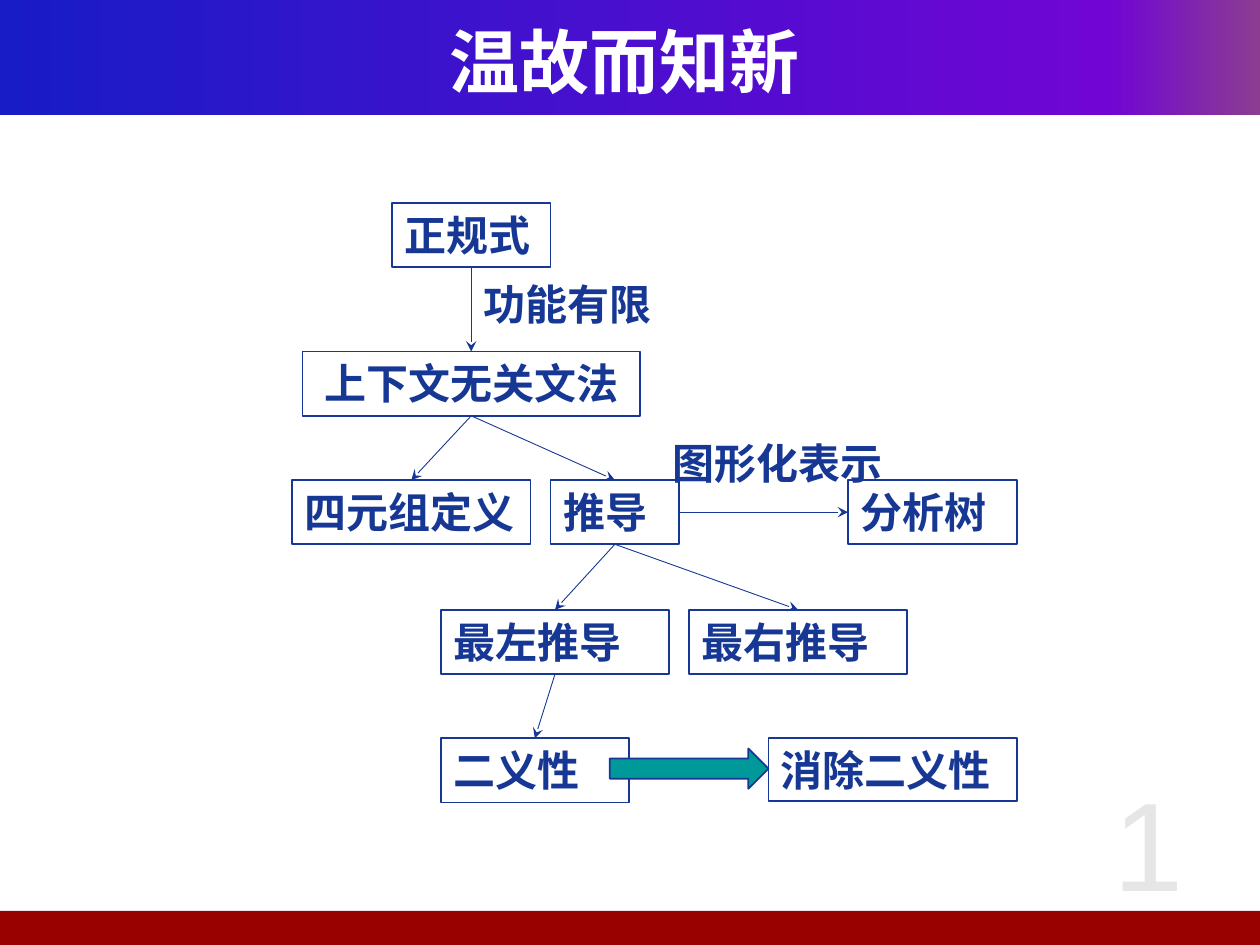
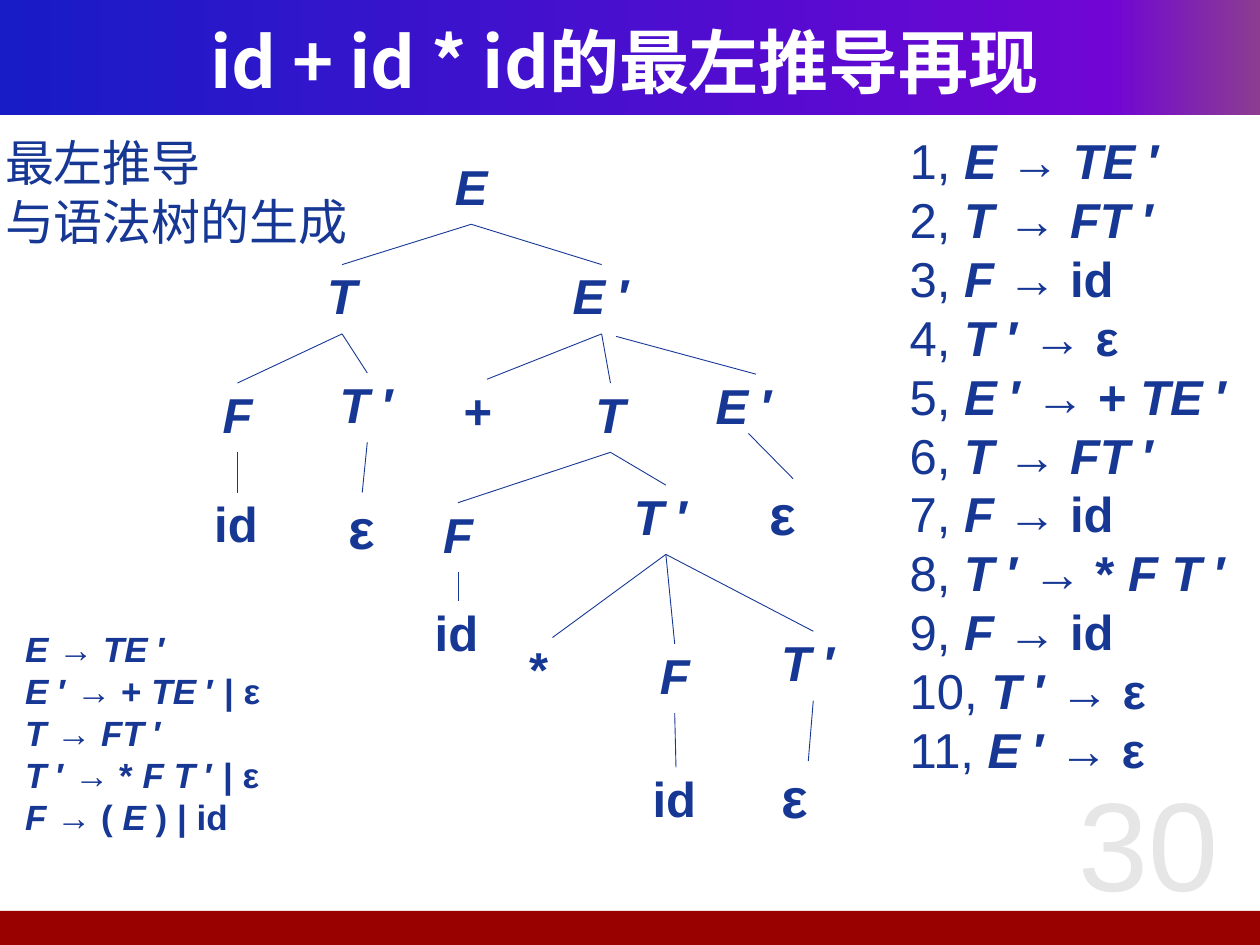
from dataclasses import dataclass
from itertools import groupby

from lxml import etree
from pptx import Presentation, util as u
from pptx.dml.color import RGBColor
from pptx.enum import shapes, text
from pptx.oxml import parse_xml
from pptx.oxml.ns import nsdecls, qn

PX = u.Inches(1) // 100  # 100 px to the inch


@dataclass(frozen=True)
class Theme:
    ink: str = "163794"
    white: str = "FFFFFF"
    footer: str = "990000"
    number: str = "E6E6E6"
    arrow: str = "009999"
    band: tuple = ((0, "181CC7"), (88, "7005D4"), (100, "8C3D91"))
    latin: str = "Arial"
    box: str = "Karla"
    chinese: str = "Noto Sans CJK SC"
    title_size: int = 40
    number_size: int = 72
    epsilon_size: int = 32
    body_size: int = 28
    box_size: int = 24
    grammar_size: int = 20


THEME = Theme()
LEFT, CENTER = text.PP_ALIGN.LEFT, text.PP_ALIGN.CENTER
BOX_INSETS, NODE_INSETS, LIST_INSETS = (10, 5), (2, 1), (0, 5)

# Content: concept map (left, top, width, height)
CONCEPTS = {
    "正规式": (311, 161, 126, 51),
    "上下文无关文法": (240, 279, 268, 51),
    "四元组定义": (232, 381, 189, 51),
    "推导": (437, 381, 102, 51),
    "分析树": (673, 381, 134, 51),
    "最左推导": (350, 484, 181, 51),
    "最右推导": (547, 484, 173, 51),
    "二义性": (350, 586, 149, 51),
    "消除二义性": (610, 586, 197, 50),
}
CENTERED_CONCEPT = "上下文无关文法"
CONCEPT_LABELS = {
    "功能有限": (374, 216, 173, 50),
    "图形化表示": (524, 342, 197, 50),
}
CONCEPT_LINKS = [
    ("正规式", "上下文无关文法"),
    ("上下文无关文法", "四元组定义"),
    ("上下文无关文法", "推导"),
    ("推导", "最左推导"),
    ("推导", "最右推导"),
    ("最左推导", "二义性"),
]
SIDE_LINK = ("推导", "分析树")
BLOCK_ARROW = (484, 594, 126, 32)

# Content: syntax tree (symbol, box, alignment, parent index)
TREE = [
    ("E", (350, 123, 48, 55), CENTER, None),
    ("T", (248, 210, 47, 55), CENTER, 0),
    ("E ′", (445, 210, 65, 55), CENTER, 0),
    ("F", (161, 304, 55, 55), CENTER, 1),
    ("T ′", (264, 296, 55, 55), CENTER, 1),
    ("id", (168, 391, 41, 50), LEFT, 3),
    ("ε", (264, 391, 47, 55), CENTER, 4),
    ("+", (366, 301, 41, 50), LEFT, 2),
    ("T", (461, 304, 47, 55), CENTER, 2),
    ("E ′", (566, 297, 68, 55), LEFT, 2),
    ("F", (344, 399, 39, 55), CENTER, 8),
    ("T ′", (501, 385, 55, 55), LEFT, 8),
    ("ε", (609, 380, 41, 50), LEFT, 9),
    ("id", (343, 477, 41, 50), LEFT, 10),
    ("*", (418, 506, 41, 50), LEFT, 11),
    ("F", (512, 511, 47, 55), CENTER, 11),
    ("T ′", (618, 501, 55, 55), LEFT, 11),
    ("id", (516, 609, 41, 50), LEFT, 15),
    ("ε", (618, 604, 47, 47), LEFT, 16),
]
BRANCH_STARTS = {9: (489, 267), 12: (594, 344)}  # branches not leaving the centre
STEPS = ["E → TE ′", "T → FT ′", "F → id", "T ′ → ε", "E ′ → + TE ′", "T → FT ′",
         "F → id", "T ′ → * F T ′", "F → id", "T ′ → ε", "E ′ → ε"]
GRAMMAR = ["E → TE ′", "E ′ → + TE ′ | ε", "T → FT ′", "T ′ → * F T ′ | ε", "F → ( E ) | id"]
CAPTION = ["最左推导", "与语法树的生成"]


def px(*lengths):
    return [round(length * PX) for length in lengths]


def color(code):
    return RGBColor.from_string(code)


# Text
def add_run(paragraph, words, size, font=THEME.latin, ink=THEME.ink, bold=False, italic=False):
    run = paragraph.add_run()
    run.text = words
    run.font.size, run.font.name = u.Pt(size), font
    run.font.bold, run.font.italic = bold, italic
    run.font.color.rgb = color(ink)
    if font != THEME.latin:
        etree.SubElement(run.font._element, qn("a:ea"), typeface=THEME.chinese)


def add_symbols(paragraph, words, size):
    """Set grammar symbols in bold, with the nonterminals in italics."""
    for italic, letters in groupby(words, key=lambda letter: letter in "ETF"):
        add_run(paragraph, "".join(letters), size, bold=True, italic=italic)


def prepare_frame(shape, insets=BOX_INSETS, align=LEFT, anchor=text.MSO_ANCHOR.TOP):
    frame = shape.text_frame
    frame.word_wrap = True
    frame.vertical_anchor = anchor
    frame.margin_left, frame.margin_top = px(*insets)
    frame.margin_right, frame.margin_bottom = px(*insets)
    frame.paragraphs[0].alignment = align
    return frame


def add_text_box(slide, place, **options):
    return prepare_frame(slide.shapes.add_textbox(*px(*place)), **options)


def add_lines(frame, lines):
    """Yield one paragraph for each line."""
    for index, line in enumerate(lines):
        yield (frame.add_paragraph() if index else frame.paragraphs[0]), line


# Shapes and lines
def add_block(slide, place, fill=None, outline=None, kind=shapes.MSO_SHAPE.RECTANGLE):
    shape = slide.shapes.add_shape(kind, *px(*place))
    shape.shadow.inherit = False
    if fill:
        shape.fill.solid()
        shape.fill.fore_color.rgb = color(fill)
    else:
        shape.fill.background()
    if outline:
        shape.line.color.rgb = color(outline)
        shape.line.width = u.Pt(1)
    else:
        shape.line.fill.background()
    return shape


def add_line(slide, start, end, arrow=False):
    line = slide.shapes.add_connector(shapes.MSO_CONNECTOR.STRAIGHT, *px(*start, *end))
    line.line.color.rgb = color(THEME.ink)
    line.line.width = u.Pt(0.5)
    if arrow:
        etree.SubElement(line.line._get_or_add_ln(), qn("a:tailEnd"), type="stealth")
    etree.SubElement(line._element.spPr, qn("a:effectLst"))


def top(place):
    return place[0] + place[2] / 2, place[1]


def bottom(place):
    return place[0] + place[2] / 2, place[1] + place[3]


# Shared slide frame
def add_slide(presentation, title, number):
    slide = presentation.slides.add_slide(presentation.slide_layouts[6])
    band = add_block(slide, (0, 0, 1000, 91))
    band.fill.gradient()
    band.fill.gradient_angle = 0
    stops = band._element.spPr.find(".//" + qn("a:gsLst"))
    stops.getparent().replace(stops, parse_xml(
        f"<a:gsLst {nsdecls('a')}>"
        + "".join(f'<a:gs pos="{share * 1000}"><a:srgbClr val="{code}"/></a:gs>'
                  for share, code in THEME.band)
        + "</a:gsLst>"))
    add_block(slide, (-4, 723, 1004, 27), THEME.footer)
    frame = add_text_box(slide, (33, 17, 925, 62), align=CENTER, anchor=text.MSO_ANCHOR.MIDDLE)
    add_run(frame.paragraphs[0], title, THEME.title_size, THEME.chinese, THEME.white, bold=True)
    frame = add_text_box(slide, (823, 603, 177, 142), align=CENTER)
    add_run(frame.paragraphs[0], number, THEME.number_size, ink=THEME.number)
    return slide


def build_concept_map(presentation):
    slide = add_slide(presentation, "温故而知新", "1")
    for name, place in CONCEPTS.items():
        box = add_block(slide, place, outline=THEME.ink)
        frame = prepare_frame(box, align=CENTER if name == CENTERED_CONCEPT else LEFT)
        add_run(frame.paragraphs[0], name, THEME.box_size, THEME.box, bold=True)
    for name, place in CONCEPT_LABELS.items():
        frame = add_text_box(slide, place)
        add_run(frame.paragraphs[0], name, THEME.box_size, THEME.box, bold=True)
    add_block(slide, BLOCK_ARROW, THEME.arrow, THEME.ink, shapes.MSO_SHAPE.RIGHT_ARROW)

    for parent, child in CONCEPT_LINKS:
        add_line(slide, bottom(CONCEPTS[parent]), top(CONCEPTS[child]), arrow=True)
    source, target = (CONCEPTS[name] for name in SIDE_LINK)
    middle = source[1] + source[3] / 2
    add_line(slide, (source[0] + source[2], middle), (target[0], middle), arrow=True)


def build_derivation(presentation):
    slide = add_slide(presentation, "id + id * id的最左推导再现", "30")

    # Caption
    frame = add_text_box(slide, (4, 100, 275, 105), insets=LIST_INSETS)
    frame.word_wrap = False
    for paragraph, line in add_lines(frame, CAPTION):
        add_run(paragraph, line, THEME.body_size, THEME.chinese)

    # Syntax tree
    for index, (symbol, place, align, parent) in enumerate(TREE):
        frame = add_text_box(slide, place, insets=NODE_INSETS, align=align)
        size = THEME.epsilon_size if symbol == "ε" else THEME.body_size
        add_symbols(frame.paragraphs[0], symbol, size)
        if parent is not None:
            start = BRANCH_STARTS.get(index, bottom(TREE[parent][1]))
            add_line(slide, start, top(place))

    # Numbered derivation steps
    frame = add_text_box(slide, (722, 99, 266, 524), insets=LIST_INSETS)
    for number, (paragraph, step) in enumerate(add_lines(frame, STEPS), 1):
        add_run(paragraph, f"{number}, ", THEME.body_size)
        add_symbols(paragraph, step, THEME.body_size)

    # Grammar
    frame = add_text_box(slide, (20, 493, 224, 179), insets=LIST_INSETS)
    for paragraph, rule in add_lines(frame, GRAMMAR):
        add_symbols(paragraph, rule, THEME.grammar_size)


def main():
    presentation = Presentation()
    presentation.slide_width, presentation.slide_height = px(1000, 750)
    build_concept_map(presentation)
    build_derivation(presentation)
    presentation.save("out.pptx")


if __name__ == "__main__":
    main()
